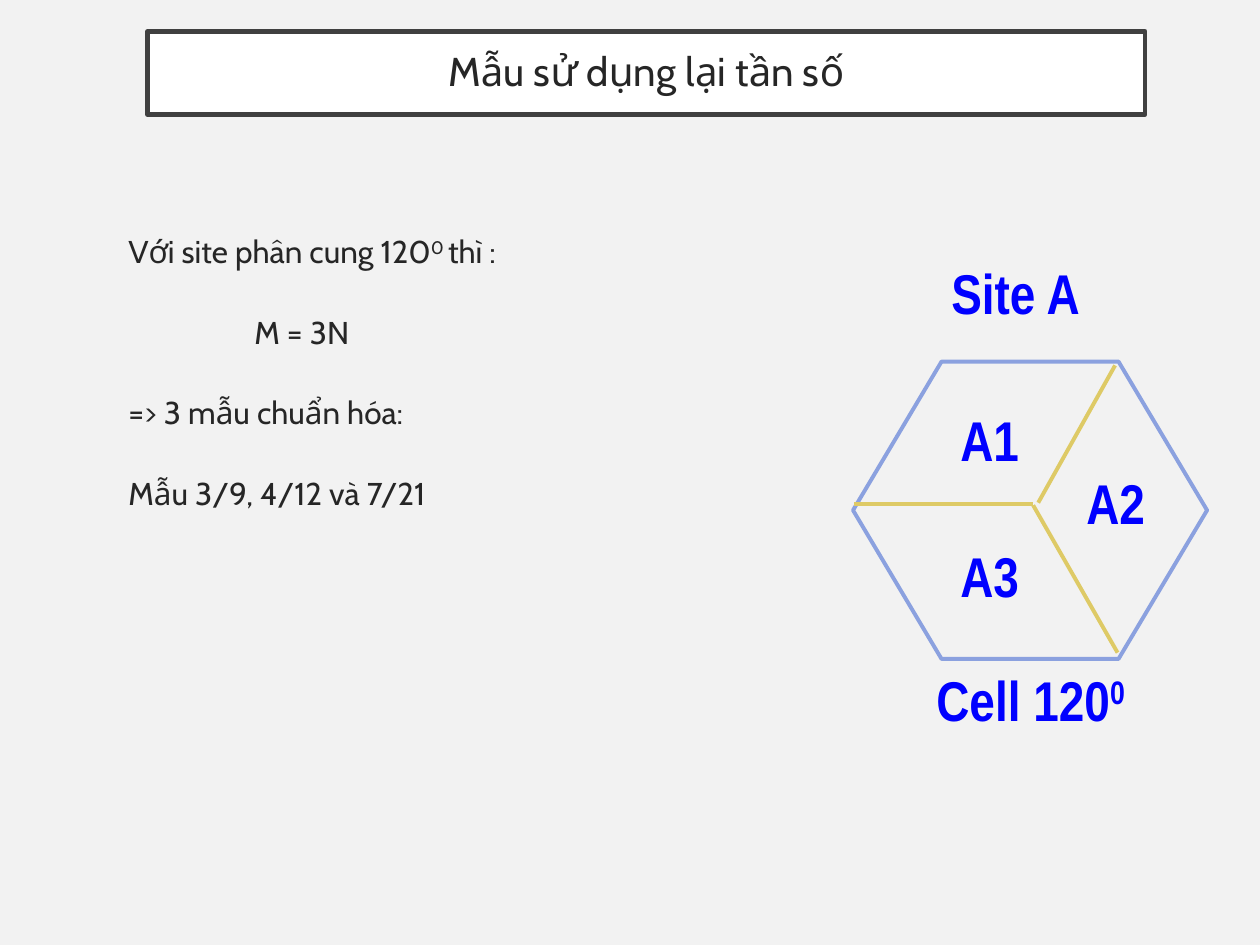
from dataclasses import dataclass

from lxml import etree
from pptx import Presentation
from pptx.dml.color import RGBColor
from pptx.enum import shapes, text
from pptx.oxml import ns
from pptx.util import Inches, Pt


@dataclass(frozen=True)
class Theme:
    back: str = "F2F2F2"
    panel: str = "FFFFFF"
    frame: str = "404040"
    ink: str = "262626"
    label: str = "0000FF"
    edge: str = "8BA1DF"
    split: str = "DECA66"
    font: str = "Cabin"
    bold: str = "Arial Narrow"
    head: int = 23
    body: int = 18
    tag: int = 32
    thick: float = 2.5
    thin: float = 2.25


T = Theme()
MID = text.PP_ALIGN.CENTER


def rgb(code):
    return RGBColor.from_string(code)


def box(x, y, w, h):
    return [Inches(v) for v in (x, y, w, h)]


def stroke(line, color, width):
    line.color.rgb = rgb(color)
    line.width = Pt(width)


def style(para, name, size, color, bold=False):
    font = para.font
    font.name, font.size, font.bold = name, Pt(size), bold
    font.color.rgb = rgb(color)


def write(para, parts):
    """Add runs; every second part is raised."""
    for i, part in enumerate(parts):
        run = para.add_run()
        run.text = part
        if i % 2:
            run._r.get_or_add_rPr().set("baseline", "30000")


def tab(para, pos):
    tabs = etree.SubElement(para._p.get_or_add_pPr(), ns.qn("a:tabLst"))
    etree.SubElement(tabs, ns.qn("a:tab"), pos=str(Inches(pos)), algn="l")


def title(slide, x, y, w, h):
    bar = slide.shapes.add_shape(shapes.MSO_SHAPE.RECTANGLE, *box(x, y, w, h))
    bar.shadow.inherit = False
    bar.fill.solid()
    bar.fill.fore_color.rgb = rgb(T.panel)
    stroke(bar.line, T.frame, T.thick)
    frame = bar.text_frame
    frame.word_wrap = True
    frame.vertical_anchor = text.MSO_ANCHOR.MIDDLE
    frame.margin_left = frame.margin_right = Inches(0.2)
    frame.margin_top = frame.margin_bottom = Inches(0.2)
    para = frame.paragraphs[0]
    para.alignment, para.line_spacing = MID, 0.9
    write(para, ["Mẫu sử dụng lại tần số"])
    style(para, T.font, T.head, T.ink)


def body(slide, x, y, w, h):
    lines = [
        ["Với site phân cung 120", "0 ", "thì :"],
        ["\tM = 3N"],
        ["=> 3 mẫu chuẩn hóa:"],
        ["Mẫu 3/9, 4/12 và 7/21"],
    ]
    frame = slide.shapes.add_textbox(*box(x, y, w, h)).text_frame
    frame.word_wrap = True
    for i, parts in enumerate(lines):
        para = frame.add_paragraph() if i else frame.paragraphs[0]
        para.line_spacing, para.space_after = 1.15, Pt(11.2)
        if i:
            para.space_before = Pt(10)
        tab(para, 1)
        write(para, parts)
        style(para, T.font, T.body, T.ink)


def label(group, parts, x, y, w):
    frame = group.shapes.add_textbox(*box(x, y, w, 0.64)).text_frame
    frame.word_wrap = True
    para = frame.paragraphs[0]
    para.alignment = MID
    write(para, parts)
    style(para, T.bold, T.tag, T.label, True)


def cell(slide, x, y, w, h):
    """Hexagon in the given box, split into three labelled sectors."""
    group = slide.shapes.add_group_shape()

    # Outline
    spots = [(0.25, 0), (0, 0.5), (0.25, 1), (0.75, 1), (1, 0.5), (0.75, 0)]
    spots = [(Inches(x + w * a), Inches(y + h * b)) for a, b in spots]
    pen = group.shapes.build_freeform(*spots[0])
    pen.add_line_segments(spots[1:], close=True)
    hexa = pen.convert_to_shape()
    hexa.shadow.inherit = False
    hexa.fill.background()
    stroke(hexa.line, T.edge, T.thin)

    # Sector borders
    for ax, ay, bx, by in [
        (1.47, 1.12, 2.08, 0.03),
        (0.01, 1.13, 1.43, 1.13),
        (1.43, 1.14, 2.1, 2.31),
    ]:
        line = group.shapes.add_connector(
            shapes.MSO_CONNECTOR.STRAIGHT,
            *box(x + ax, y + ay, x + bx, y + by))
        stroke(line.line, T.split, T.thin)
        etree.SubElement(line._element.spPr, ns.qn("a:effectLst"))

    # Labels
    for parts, dx, dy, wide in [
        (["Site A"], 0.42, -0.87, 1.74),
        (["A1"], 0.67, 0.3, 0.83),
        (["A2"], 1.67, 0.8, 0.83),
        (["A3"], 0.67, 1.38, 0.83),
        (["Cell 120", "0"], 0.54, h, 1.74),
    ]:
        label(group, parts, x + dx, y + dy, wide)


def main():
    deck = Presentation()
    deck.slide_width, deck.slide_height = Inches(10), Inches(7.5)
    slide = deck.slides.add_slide(deck.slide_layouts[6])
    fill = slide.background.fill
    fill.solid()
    fill.fore_color.rgb = rgb(T.back)
    title(slide, 1.17, 0.25, 7.92, 0.66)
    body(slide, 0.92, 1.75, 5.58, 3.35)
    cell(slide, 6.77, 2.87, 2.81, 2.36)
    deck.save("out.pptx")


if __name__ == "__main__":
    main()
